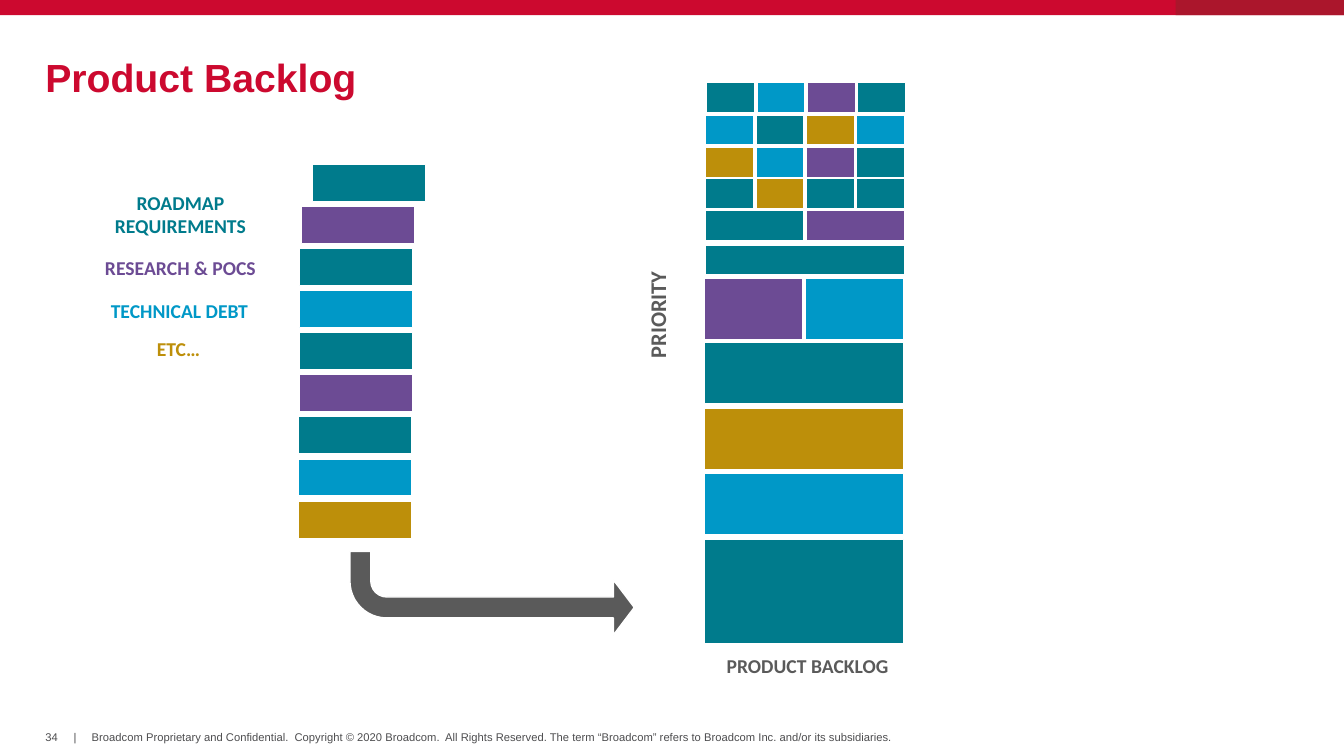
from dataclasses import dataclass

from pptx import Presentation
from pptx.dml.color import RGBColor
from pptx.enum.shapes import MSO_SHAPE
from pptx.enum.text import MSO_ANCHOR, PP_ALIGN
from pptx.oxml.ns import qn
from pptx.util import Inches, Pt

RECT = MSO_SHAPE.RECTANGLE
BENT = MSO_SHAPE.BENT_ARROW
TOP, MIDDLE, BOTTOM = MSO_ANCHOR.TOP, MSO_ANCHOR.MIDDLE, MSO_ANCHOR.BOTTOM
LEFT, CENTER = PP_ALIGN.LEFT, PP_ALIGN.CENTER


@dataclass(frozen=True)
class Theme:
    red: str = "CC092F"
    dark: str = "AB162C"
    teal: str = "007B8C"
    blue: str = "0098C7"
    plum: str = "6C4B94"
    gold: str = "BD8F0A"
    gray: str = "5A5A5A"
    note: str = "4D4D4F"
    white: str = "FFFFFF"
    head: str = "Arial"
    body: str = "Calibri"
    title: int = 28
    axis: int = 16
    label: int = 14
    small: int = 8


class Canvas:
    def __init__(self, slide, theme):
        self.slide = slide
        self.theme = theme

    def shape(self, box, color, kind=RECT, edge=True):
        item = self.slide.shapes.add_shape(kind, *map(Inches, box))
        item.shadow.inherit = False
        item.fill.solid()
        item.fill.fore_color.rgb = RGBColor.from_string(color)
        if edge:
            item.line.color.rgb = RGBColor.from_string(self.theme.white)
            item.line.width = Pt(1)
        else:
            item.line.fill.background()
        return item

    def arrow(self, box, color, ratios):
        item = self.shape(box, color, BENT)
        for index, ratio in enumerate(ratios):
            item.adjustments[index] = ratio
        item.rotation = 180
        item._element.spPr.find(qn("a:xfrm")).set("flipH", "1")

    def text(self, box, words, size, color, face, bold=False, align=LEFT,
             anchor=MIDDLE, inset=(0, 0), wrap=True, space=1.0, turn=0):
        item = self.slide.shapes.add_textbox(*map(Inches, box))
        item.rotation = turn
        frame = item.text_frame
        side, edge = map(Inches, inset)
        form = {"word_wrap": wrap, "vertical_anchor": anchor,
                "margin_left": side, "margin_right": side,
                "margin_top": edge, "margin_bottom": edge}
        for name, value in form.items():
            setattr(frame, name, value)
        para = frame.paragraphs[0]
        para.alignment = align
        para.line_spacing = space
        run = para.add_run()
        run.text = words
        for name, value in {"name": face, "size": Pt(size), "bold": bold}.items():
            setattr(run.font, name, value)
        run.font.color.rgb = RGBColor.from_string(color)

    def label(self, box, words, color, **form):
        style = {"size": self.theme.label, "face": self.theme.body, "bold": True,
                 "align": CENTER, "inset": (0.1, 0.05)}
        self.text(box, words, color=color, **{**style, **form})

    def tier(self, left, top, height, colors):
        pitch = 1.99 / len(colors)
        for index, color in enumerate(colors):
            self.shape((left + index * pitch, top, pitch - 0.02, height), color)


def main():
    deck = Presentation()
    deck.slide_width, deck.slide_height = Inches(13.33), Inches(7.5)
    theme = Theme()
    page = Canvas(deck.slides.add_slide(deck.slide_layouts[6]), theme)
    teal, blue, plum, gold = theme.teal, theme.blue, theme.plum, theme.gold

    page.shape((0, 0, 13.33, 0.15), theme.red, edge=False)
    page.shape((11.66, 0, 1.67, 0.15), theme.dark, edge=False)
    page.text((0.45, 0.6, 12.43, 0.4), "Product Backlog", theme.title,
              theme.red, theme.head, bold=True, space=0.85)

    footer = [
        (0.45, 0.14, MIDDLE, "34"),
        (0.73, 0.03, MIDDLE, "|"),
        (0.91, 8.01, TOP, "Broadcom Proprietary and Confidential.  Copyright © 2020 "
         "Broadcom.  All Rights Reserved. The term “Broadcom” refers to "
         "Broadcom Inc. and/or its subsidiaries."),
    ]
    for left, width, anchor, words in footer:
        page.text((left, 7.25, width, 0.13), words, theme.small, theme.note,
                  theme.head, anchor=anchor, wrap=width > 1)

    legend = [
        (0.6, 1.84, 0.57, "ROADMAP REQUIREMENTS", teal),
        (0.6, 2.49, 0.34, "RESEARCH & POCS", plum),
        (0.59, 2.91, 0.34, "TECHNICAL DEBT", blue),
        (0.58, 3.29, 0.34, "ETC…", gold),
        (6.82, 6.43, 0.34, "PRODUCT BACKLOG", theme.gray),
    ]
    for left, top, height, words, color in legend:
        page.label((left, top, 2.38, height), words, color)
    page.label((5.98, 2.94, 1.07, 0.37), "PRIORITY", theme.gray, size=theme.axis,
               anchor=BOTTOM, wrap=False, turn=270)

    queue = [(3.1, teal), (2.99, plum), (2.97, teal), (2.97, blue), (2.97, teal),
             (2.97, plum), (2.96, teal), (2.96, blue), (2.96, gold)]
    for index, (left, color) in enumerate(queue):
        page.shape((left, 1.63 + index * 0.4175, 1.12, 0.37), color)

    page.arrow((3.47, 5.47, 2.82, 0.83), theme.gray, (0.25, 0.33, 0.25, 0.44))

    stack = [
        (7.01, 0.82, 0.3, [teal, blue, plum, teal]),
        (7, 1.14, 0.3, [blue, teal, gold, blue]),
        (7, 1.46, 0.3, [gold, blue, plum, teal]),
        (7, 1.77, 0.3, [teal, gold, teal, teal]),
        (7, 2.09, 0.3, [teal, plum]),
        (7, 2.43, 0.3, [teal]),
        (6.99, 2.76, 0.61, [plum, blue]),
        (6.99, 3.4, 0.61, [teal]),
        (6.99, 4.05, 0.61, [gold]),
        (6.99, 4.7, 0.61, [blue]),
        (6.99, 5.35, 1.04, [teal]),
    ]
    for row in stack:
        page.tier(*row)

    deck.save("out.pptx")


if __name__ == "__main__":
    main()
